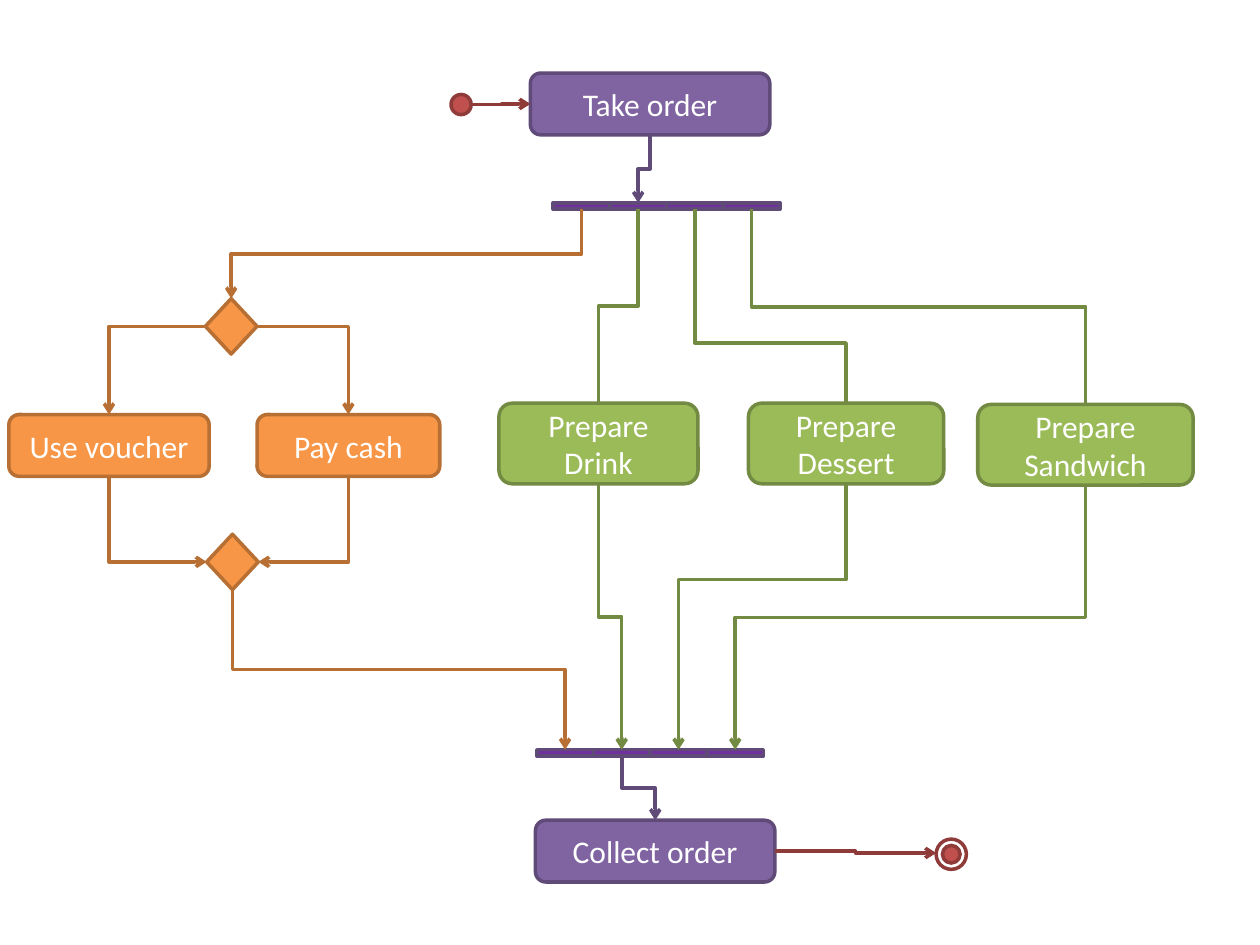
from dataclasses import dataclass

from lxml.etree import SubElement as Sub
from pptx import Presentation
from pptx.dml.color import RGBColor as Rgb
from pptx.enum.shapes import MSO_CONNECTOR as Link, MSO_SHAPE as Kind
from pptx.enum.text import MSO_ANCHOR as Anchor, PP_ALIGN as Align
from pptx.oxml.ns import qn
from pptx.util import Inches, Pt


@dataclass(frozen=True)
class Theme:
    purple: tuple = ("8064A2", "5F4A78")
    green: tuple = ("9BBB59", "738A42")
    orange: tuple = ("F79646", "B76F34")
    red: tuple = ("C0504D", "8E3B39")
    ring: tuple = (None, "8E3B39")
    bar: tuple = ("7030A0", "5F4A78")
    white: str = "FFFFFF"
    font: str = "Calibri"
    size: int = 18
    line: int = 2


THEME = Theme()
TOP, LEFT, BOTTOM, RIGHT = range(4)


def apply(item, values):
    for name, value in values.items():
        setattr(item, name, value)


def stroke(item, hue):
    item.line.color.rgb = Rgb.from_string(hue[1])
    item.line.width = Pt(THEME.line)


def shape(page, kind, spot, hue):
    item = page.add_shape(kind, *map(Inches, spot))
    item.shadow.inherit = False
    if hue[0]:
        item.fill.solid()
        item.fill.fore_color.rgb = Rgb.from_string(hue[0])
    else:
        item.fill.background()
    stroke(item, hue)
    return item


def box(page, text, spot, hue):
    item = shape(page, Kind.ROUNDED_RECTANGLE, spot, hue)
    frame = item.text_frame
    apply(frame, {"word_wrap": True, "vertical_anchor": Anchor.MIDDLE})
    para = frame.paragraphs[0]
    para.alignment = Align.CENTER
    run = para.add_run()
    run.text = text
    apply(run.font, {"name": THEME.font, "size": Pt(THEME.size)})
    run.font.color.rgb = Rgb.from_string(THEME.white)
    return item


def bar(page, left, top, count=4, step=0.45):
    group = page.add_group_shape()
    return [
        shape(group.shapes, Kind.RECTANGLE,
              (left + i * step, top, step, 0.05), THEME.bar)
        for i in range(count)
    ]


def wire(page, hue, ends=(0, 0, 0, 0), arrow=True):
    item = page.add_connector(Link.ELBOW, *map(Inches, ends))
    stroke(item, hue)
    if arrow:
        Sub(item.line._get_or_add_ln(), qn("a:tailEnd"), type="arrow")
    Sub(item._element.spPr, qn("a:effectLst"))
    return item


def turn(item):
    x1, y1, x2, y2 = item.begin_x, item.begin_y, item.end_x, item.end_y
    wide, high = abs(y2 - y1), abs(x2 - x1)
    apply(item, {
        "left": (x1 + x2 - wide) // 2, "top": (y1 + y2 - high) // 2,
        "width": wide, "height": high,
    })
    right, up = x2 > x1, y2 < y1
    frame = item._element.spPr.find(qn("a:xfrm"))
    angle = 270 if right != up else 90
    marks = {"rot": angle * 60000, "flipH": int(right), "flipV": int(up)}
    for name, value in marks.items():
        frame.set(name, str(value))


def join(page, start, out, end, into, hue, arrow=True, bend=0.5):
    item = wire(page, hue, arrow=arrow)
    item.begin_connect(start, out)
    item.end_connect(end, into)
    if out == BOTTOM:
        turn(item)
    geom = item._element.spPr.find(qn("a:prstGeom"))
    if out == BOTTOM and into == TOP:
        value = f"val {round(bend * 100000)}"
        Sub(geom.find(qn("a:avLst")), qn("a:gd"), name="adj1", fmla=value)
    else:
        geom.set("prst", "bentConnector2")


def main():
    deck = Presentation()
    deck.slide_width, deck.slide_height = Inches(10), Inches(7.5)
    page = deck.slides.add_slide(deck.slide_layouts[6]).shapes
    purple, green, orange = THEME.purple, THEME.green, THEME.orange

    take = box(page, "Take order", (4.21, 0.58, 1.9, 0.49), purple)
    drink = box(page, "Prepare Drink", (3.96, 3.2, 1.58, 0.64), green)
    sweet = box(page, "Prepare Dessert", (5.94, 3.2, 1.55, 0.64), green)
    bread = box(page, "Prepare Sandwich", (7.76, 3.21, 1.71, 0.64), green)
    cash = box(page, "Pay cash", (2.04, 3.29, 1.45, 0.49), orange)
    ticket = box(page, "Use voucher", (0.07, 3.29, 1.59, 0.49), orange)
    split = shape(page, Kind.DIAMOND, (1.63, 2.37, 0.41, 0.44), orange)
    merge = shape(page, Kind.DIAMOND, (1.64, 4.24, 0.41, 0.44), orange)
    fork = bar(page, 4.39, 1.61)
    sync = bar(page, 4.26, 5.95)
    collect = box(page, "Collect order", (4.25, 6.51, 1.9, 0.49), purple)

    dot = Kind.FLOWCHART_CONNECTOR
    shape(page, dot, (3.58, 0.75, 0.16, 0.16), THEME.red)
    shape(page, dot, (7.48, 6.71, 0.14, 0.14), THEME.red)
    shape(page, dot, (7.43, 6.66, 0.24, 0.24), THEME.ring)
    wire(page, THEME.red, (3.75, 0.83, 4.21, 0.82)).end_connect(take, LEFT)
    leave = wire(page, THEME.red, (6.16, 6.75, 7.43, 6.77))
    leave.begin_connect(collect, RIGHT)

    join(page, take, BOTTOM, fork[1], TOP, purple)
    join(page, sync[1], BOTTOM, collect, TOP, purple)
    join(page, fork[0], BOTTOM, split, TOP, orange)
    join(page, merge, BOTTOM, sync[0], TOP, orange)
    tasks = ((drink, 0.5, 0.5), (sweet, 0.69, 0.36), (bread, 0.5, 0.5))
    for i, (task, above, below) in enumerate(tasks, 1):
        join(page, fork[i], BOTTOM, task, TOP, green, False, above)
        join(page, task, BOTTOM, sync[i], TOP, green, True, below)
    for way, side in ((ticket, LEFT), (cash, RIGHT)):
        join(page, split, side, way, TOP, orange)
        join(page, way, BOTTOM, merge, side, orange)

    deck.save("out.pptx")


if __name__ == "__main__":
    main()
